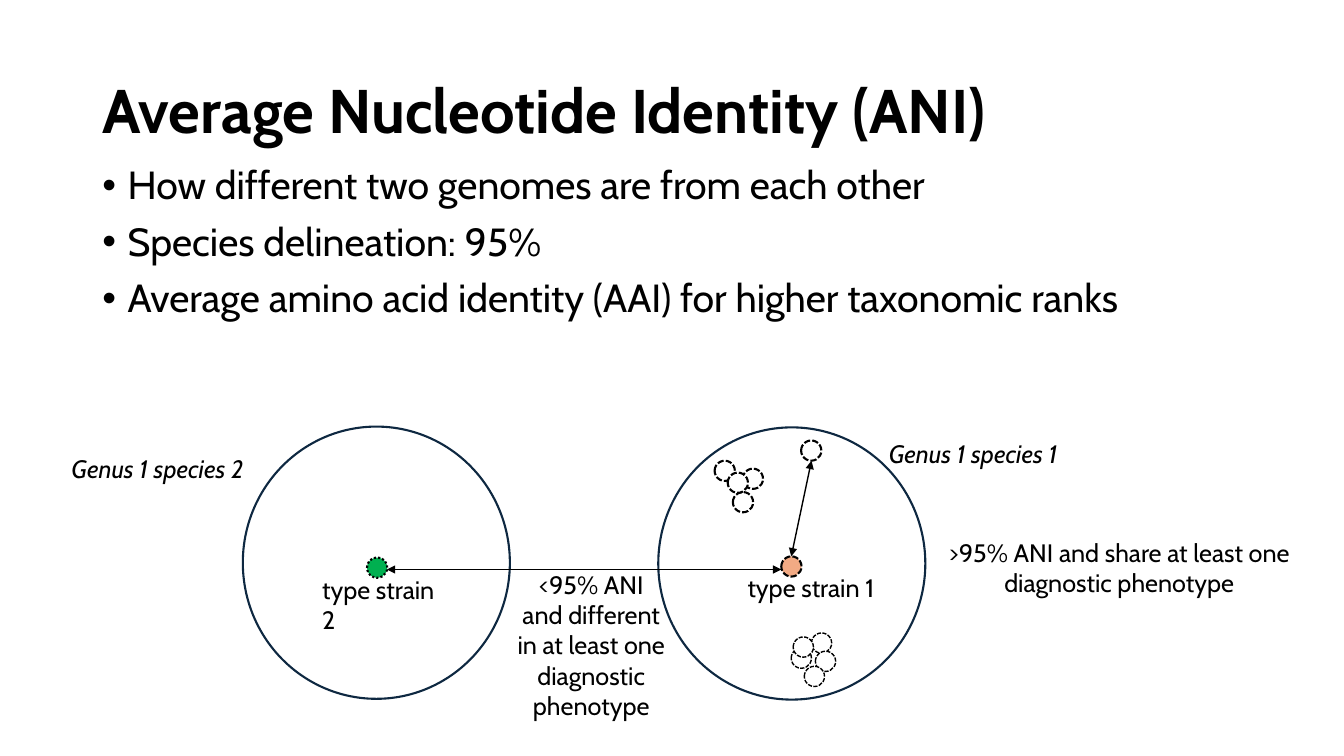
from dataclasses import dataclass
from typing import Any

from lxml.etree import SubElement
from pptx import Presentation
from pptx.dml.color import RGBColor
from pptx.enum.dml import MSO_LINE as Dash
from pptx.enum.shapes import MSO_CONNECTOR as Connector, MSO_SHAPE as Preset
from pptx.enum.text import MSO_ANCHOR as Anchor, MSO_AUTO_SIZE as AutoSize, PP_ALIGN as Align
from pptx.oxml.ns import qn
from pptx.util import Cm, Pt

COLOURS = {
    "ink": "000000",
    "species": "0E2841",
    "strain": "FFFFFF",
    "type strain 1": "F2AA84",
    "type strain 2": "00B050",
}
FONT = "Cabin"
STRAIN_SIZE = 0.51


@dataclass
class Circle:
    left: float
    top: float
    width: float = STRAIN_SIZE
    height: float = STRAIN_SIZE
    fill: str | None = "strain"
    line: str = "ink"
    weight: float = 1.5
    dash: Any = Dash.SQUARE_DOT


@dataclass
class Label:
    lines: list[str]
    left: float
    top: float
    width: float
    height: float = 1.03
    italic: bool = False
    align: Any = Align.LEFT


@dataclass
class Distance:
    start: tuple[float, float]
    end: tuple[float, float]


SPECIES = [
    Circle(left, top, 6.73, 6.86, None, "species", dash=None)
    for left, top in [(6.12, 10.75), (16.59, 10.77)]
]
TYPE_STRAINS = [
    Circle(9.25, 14.05, fill="type strain 2", dash=Dash.ROUND_DOT),
    Circle(19.69, 14.02, fill="type strain 1"),
]
UPPER_STRAINS = [
    Circle(left, top)
    for left, top in [(20.19, 11.1), (18.47, 12.4), (18.72, 11.81), (18.01, 11.61), (18.34, 11.91)]
]
LOWER_STRAINS = [
    Circle(left, top, weight=1)
    for left, top in [(20.45, 15.95), (20.55, 16.41), (19.94, 16.33), (19.99, 16.05), (20.27, 16.79)]
]
DISTANCES = [
    Distance((9.75, 14.35), (19.69, 14.35)),
    Distance((19.94, 14.02), (20.45, 11.61)),
]
LABELS = [
    Label(["Genus 1 species 2"], 1.55, 11.3, 5.2, italic=True),
    Label(["Genus 1 species 1"], 22.15, 10.92, 5.2, italic=True),
    Label(["type strain 2"], 7.87, 14.35, 3.6, 1.8),
    Label(["type strain 1"], 18.59, 14.3, 4.1),
    Label(
        ["<95% ANI", "and different", "in at least one", "diagnostic phenotype"],
        12.4, 14.22, 5.0, 4.1, align=Align.CENTER,
    ),
    Label(
        [">95% ANI and share at least one diagnostic phenotype"],
        23.62, 13.41, 9.17, 1.8, align=Align.CENTER,
    ),
]
BULLETS = Label(
    [
        "How different two genomes are from each other",
        "Species delineation: 95%",
        "Average amino acid identity (AAI) for higher taxonomic ranks",
    ],
    2.33, 4.06, 29.21, 12.09,
)


def colour(name: str) -> RGBColor:
    return RGBColor.from_string(COLOURS[name])


def apply(target: Any, values: dict[str, Any]) -> None:
    for attribute, value in values.items():
        setattr(target, attribute, value)


def format_font(paragraph: Any, size: float, **values: Any) -> None:
    apply(paragraph.font, {"name": FONT, "size": Pt(size), **values})
    paragraph.font.color.rgb = colour("ink")


def add_title(slide: Any, wording: str) -> None:
    title = slide.shapes.title
    apply(title, {"left": Cm(2.33), "top": Cm(1.01), "width": Cm(29.21), "height": Cm(3.68)})
    title.text_frame.text = wording
    apply(title.text_frame, {"vertical_anchor": Anchor.MIDDLE, "auto_size": AutoSize.NONE})
    heading = title.text_frame.paragraphs[0]
    apply(heading, {"alignment": Align.LEFT, "line_spacing": 0.9})
    format_font(heading, 44, bold=True)


def add_label(slide: Any, label: Label, size: float = 18) -> Any:
    bounds = [Cm(length) for length in (label.left, label.top, label.width, label.height)]
    frame = slide.shapes.add_textbox(*bounds).text_frame
    frame.text = "\n".join(label.lines)
    apply(frame, {"word_wrap": True, "auto_size": AutoSize.NONE})
    for paragraph in frame.paragraphs:
        paragraph.alignment = label.align
        format_font(paragraph, size, italic=label.italic)
    return frame


def add_bullets(slide: Any, bullets: Label) -> None:
    frame = add_label(slide, Label([""], bullets.left, bullets.top, bullets.width, bullets.height))
    for index, wording in enumerate(bullets.lines):
        point = frame.add_paragraph() if index else frame.paragraphs[0]
        point.text = wording
        apply(point, {"line_spacing": 0.9, "space_before": Pt(10 if index else 0)})
        properties = point._p.get_or_add_pPr()
        properties.set("marL", str(Cm(0.64)))
        properties.set("indent", str(-Cm(0.64)))
        for tag, key, value in [("a:buFont", "typeface", "Arial"), ("a:buChar", "char", "•")]:
            for earlier in properties.findall(qn("a:defRPr")):
                properties.remove(earlier)
            SubElement(properties, qn(tag)).set(key, value)
        format_font(point, 28)


def add_circle(slide: Any, circle: Circle) -> None:
    bounds = [Cm(length) for length in (circle.left, circle.top, circle.width, circle.height)]
    oval = slide.shapes.add_shape(Preset.OVAL, *bounds)
    oval.shadow.inherit = False
    if circle.fill:
        oval.fill.solid()
        oval.fill.fore_color.rgb = colour(circle.fill)
    else:
        oval.fill.background()
    oval.line.color.rgb = colour(circle.line)
    apply(oval.line, {"width": Pt(circle.weight), "dash_style": circle.dash})


def add_distance(slide: Any, distance: Distance) -> None:
    ends = [Cm(length) for length in (*distance.start, *distance.end)]
    arrow = slide.shapes.add_connector(Connector.STRAIGHT, *ends)
    arrow.line.color.rgb = colour("ink")
    arrow.line.width = Pt(1)
    outline = arrow.line._get_or_add_ln()
    for tag in ("a:headEnd", "a:tailEnd"):
        SubElement(outline, qn(tag)).set("type", "triangle")
    SubElement(arrow._element.spPr, qn("a:effectLst"))


def main() -> None:
    deck = Presentation()
    apply(deck, {"slide_width": Cm(33.87), "slide_height": Cm(19.05)})
    slide = deck.slides.add_slide(deck.slide_layouts[5])
    add_title(slide, "Average Nucleotide Identity (ANI)")
    add_bullets(slide, BULLETS)
    for circle in SPECIES:
        add_circle(slide, circle)
    for distance in DISTANCES:
        add_distance(slide, distance)
    for circle in TYPE_STRAINS + UPPER_STRAINS + LOWER_STRAINS:
        add_circle(slide, circle)
    for label in LABELS:
        add_label(slide, label)
    deck.save("out.pptx")


if __name__ == "__main__":
    main()
